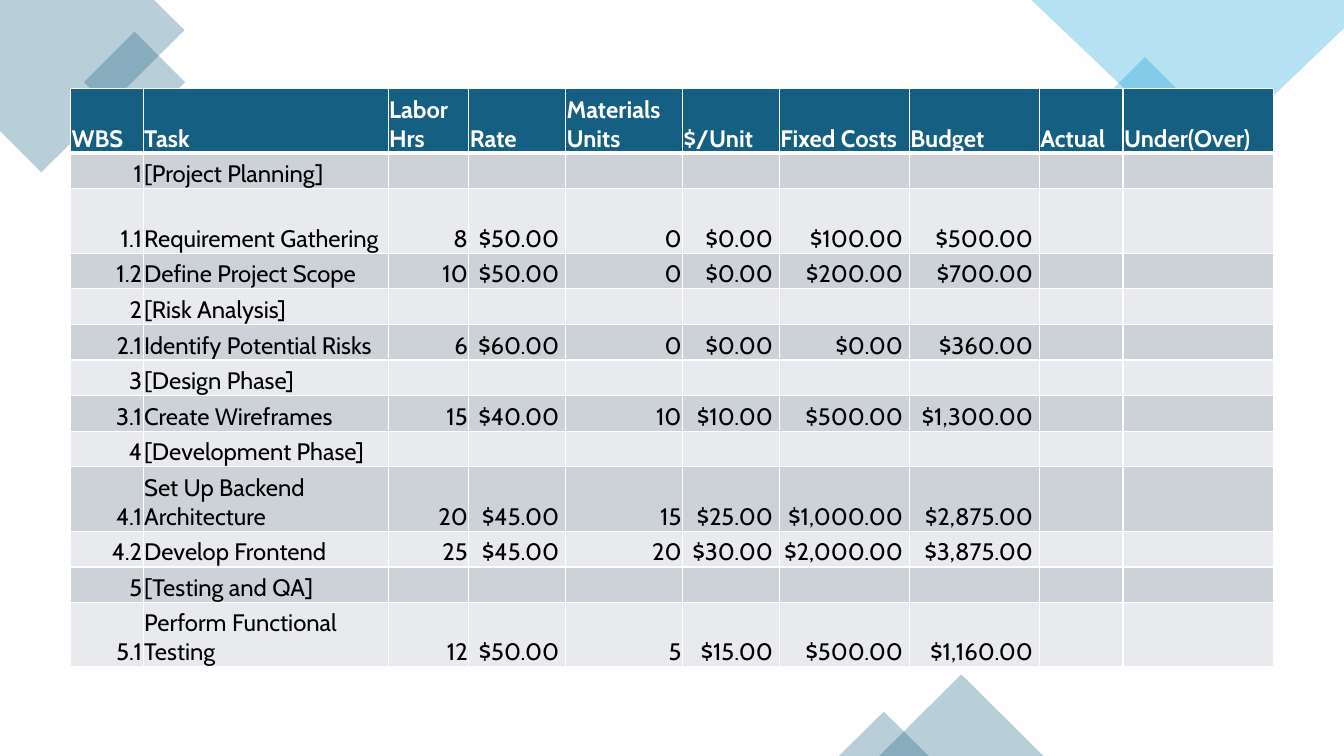
from lxml import etree
from pptx import Presentation
from pptx.dml.color import RGBColor
from pptx.enum.shapes import MSO_SHAPE
from pptx.enum.text import MSO_ANCHOR, PP_ALIGN
from pptx.oxml.ns import qn
from pptx.util import Inches, Pt

LEFT, RIGHT = PP_ALIGN.LEFT, PP_ALIGN.RIGHT
BOTTOM = MSO_ANCHOR.BOTTOM
SQUARE, TRIANGLE = MSO_SHAPE.RECTANGLE, MSO_SHAPE.ISOSCELES_TRIANGLE

# Content
HEADINGS = ["WBS", "Task", "Labor Hrs", "Rate", "Materials Units", "$/Unit",
            "Fixed Costs", "Budget", "Actual", "Under(Over)"]
TASKS = [
    ("1", "[Project Planning]"),
    ("1.1", "Requirement Gathering", 8, 50, 0, 0, 100, 500),
    ("1.2", "Define Project Scope", 10, 50, 0, 0, 200, 700),
    ("2", "[Risk Analysis]"),
    ("2.1", "Identify Potential Risks", 6, 60, 0, 0, 0, 360),
    ("3", "[Design Phase]"),
    ("3.1", "Create Wireframes", 15, 40, 10, 10, 500, 1300),
    ("4", "[Development Phase]"),
    ("4.1", "Set Up Backend Architecture", 20, 45, 15, 25, 1000, 2875),
    ("4.2", "Develop Frontend", 25, 45, 20, 30, 2000, 3875),
    ("5", "[Testing and QA]"),
    ("5.1", "Perform Functional Testing", 12, 50, 5, 15, 500, 1160),
]
MONEY = {"Rate", "$/Unit", "Fixed Costs", "Budget"}

# Layout in inches
TABLE_LEFT, TABLE_TOP, TABLE_HEIGHT = 0.7, 0.88, 5.74
COLUMN_WIDTHS = [0.72, 2.43, 0.8, 0.96, 1.16, 0.96, 1.29, 1.29, 0.83, 1.49]
TALL_ROWS, TALL = {0, 2, 9, 12}, 0.64
SHORT = (TABLE_HEIGHT - TALL * len(TALL_ROWS)) / (len(TASKS) + 1 - len(TALL_ROWS))

THEME = {
    "font": "Cabin", "size": 17,
    "teal": "156082", "sky": "0F9ED5", "white": "FFFFFF", "black": "000000",
    "bands": ("E8EAED", "CCD2D8"),
    "rule": 1, "header_rule": 3, "opacity": 30,
}

# Corner decorations, back to front
CORNERS = [
    ("teal", [(1.53, 0), (0, 0), (0, 1.3), (0.41, 1.71), (1.83, 0.3)]),
    ("teal", SQUARE, 0.98, 0.46, 0.71, 0.71, 315),
    ("sky", SQUARE, 10.98, 0.72, 0.75, 0.75, 315),
    ("sky", [(13.33, 0), (10.23, 0), (11.93, 1.62), (13.33, 0.28)]),
    ("teal", TRIANGLE, 8.72, 6.69, 1.63, 0.81, 0),
    ("teal", TRIANGLE, 8.32, 7.06, 0.89, 0.44, 0),
]


def color(name):
    return RGBColor.from_string(THEME.get(name, name))


def add_corner(shapes, tint, outline, *place):
    if place:
        *box, rotation = place
        corner = shapes.add_shape(outline, *map(Inches, box))
        corner.rotation = rotation
    else:
        points = [(Inches(x), Inches(y)) for x, y in outline]
        builder = shapes.build_freeform(*points[0])
        builder.add_line_segments(points[1:], close=True)
        corner = builder.convert_to_shape()
    corner.shadow.inherit = False
    corner.line.fill.background()
    corner.fill.solid()
    corner.fill.fore_color.rgb = color(tint)
    clr = corner.fill._xPr.find(qn("a:solidFill"))[0]
    etree.SubElement(clr, qn("a:alpha"), val=str(THEME["opacity"] * 1000))


def write(cell, text, *, tint="black", bold=False, align=LEFT):
    paragraph = cell.text_frame.paragraphs[0]
    paragraph.alignment = align
    run = paragraph.add_run()
    run.text = text
    run.font.name, run.font.size = THEME["font"], Pt(THEME["size"])
    run.font.bold, run.font.color.rgb = bold, color(tint)


def set_borders(cell, **widths):
    properties = cell._tc.get_or_add_tcPr()
    for index, side in enumerate(("L", "R", "T", "B")):
        width = widths.get(side, THEME["rule"])
        line = etree.Element(qn(f"a:ln{side}"), w=str(Pt(width)))
        fill = etree.SubElement(line, qn("a:solidFill"))
        etree.SubElement(fill, qn("a:srgbClr"), val=THEME["white"])
        properties.insert(index, line)


def format_cell(cell, fill):
    cell.vertical_anchor = BOTTOM
    cell.margin_left = cell.margin_right = cell.margin_top = Inches(0.01)
    cell.margin_bottom = 0
    cell.fill.solid()
    cell.fill.fore_color.rgb = color(fill)


def add_budget(shapes):
    budget = shapes.add_table(
        len(TASKS) + 1, len(HEADINGS), Inches(TABLE_LEFT), Inches(TABLE_TOP),
        Inches(sum(COLUMN_WIDTHS)), Inches(TABLE_HEIGHT)).table
    budget.horz_banding = False
    for column, width in zip(budget.columns, COLUMN_WIDTHS):
        column.width = Inches(width)
    for r, row in enumerate(budget.rows):
        row.height = Inches(TALL if r in TALL_ROWS else SHORT)

    # Header
    for c, heading in enumerate(HEADINGS):
        cell = budget.cell(0, c)
        format_cell(cell, "teal")
        set_borders(cell, B=THEME["header_rule"])
        write(cell, heading, tint="white", bold=True)

    # Task rows
    for r, task in enumerate(TASKS, start=1):
        for c, heading in enumerate(HEADINGS):
            cell = budget.cell(r, c)
            format_cell(cell, THEME["bands"][r % 2])
            set_borders(cell, T=THEME["header_rule"] if r == 1 else THEME["rule"])
            if c < len(task):
                text = f"${task[c]:,.2f} " if heading in MONEY else str(task[c])
                write(cell, text, align=LEFT if heading == "Task" else RIGHT)


def main():
    deck = Presentation()
    deck.slide_width, deck.slide_height = Inches(13.33), Inches(7.5)
    slide = deck.slides.add_slide(deck.slide_layouts[6])
    for corner in CORNERS:
        add_corner(slide.shapes, *corner)
    add_budget(slide.shapes)
    deck.save("out.pptx")


if __name__ == "__main__":
    main()
